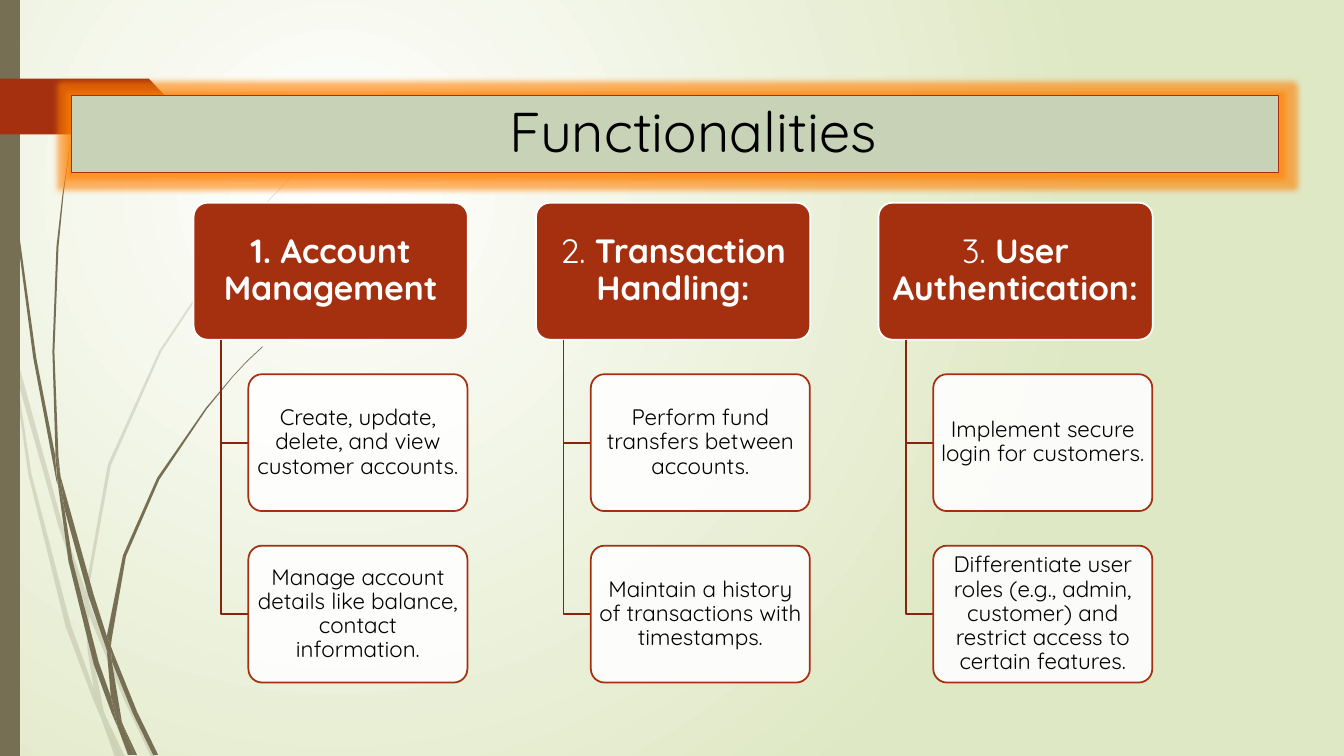
from pptx import Presentation
from pptx.dml.color import RGBColor
from pptx.enum.shapes import MSO_SHAPE
from pptx.enum.text import MSO_ANCHOR, PP_ALIGN
from pptx.oxml import parse_xml
from pptx.oxml.ns import nsdecls, qn
from pptx.util import Cm, Pt

FONT = "Quicksand"
RED, DARK_RED, OLIVE, SAGE = "A53010", "84260D", "766F54", "C7D2B7"
WHITE, BLACK, PALE_GREEN, ORANGE = "FFFFFF", "000000", "DFE8C4", "FF8000"

COLUMN_LEFT, COLUMN_STEP = 4.88, 8.63
ROW_TOP, ROW_STEP = 5.11, 4.32
HEADING_WIDTH, CARD_WIDTH, CARD_HEIGHT = 6.91, 5.52, 3.45
TRUNK_INDENT, CARD_INDENT = 0.69, 1.38
GRASS_UNIT = Cm(2.54) / 100

COLUMNS = [
    ([("1. Account Management", True)],
     ["Create, update, delete, and view customer accounts.",
      "Manage account details like balance, contact information."]),
    ([("2.", False), (" Transaction Handling:", True)],
     ["Perform fund transfers between accounts.",
      "Maintain a history of transactions with timestamps."]),
    ([("3.", False), (" User Authentication:", True)],
     ["Implement secure login for customers.",
      "Differentiate user roles (e.g., admin, customer) and restrict access "
      "to certain features."]),
]

PALE_BLADES = [
    [(11, 350), (9, 322), (0, 282), (0, 299), (10, 344)],
    [(58, 522), (84, 599), (85, 586), (62, 520), (14, 345), (17, 376)],
    [(92, 607), (88, 596), (88, 610), (123, 694), (150, 751), (155, 751),
     (127, 692)],
    [(119, 751), (124, 751), (105, 711)],
    [(93, 683), (70, 619), (31, 469), (17, 376), (11, 350), (28, 470),
     (65, 621), (92, 693), (101, 714), (99, 707)],
    [(84, 599), (87, 646), (93, 683), (96, 692), (105, 711), (103, 706),
     (91, 646), (88, 610), (88, 608)],
    [(88, 584), (110, 462), (160, 349), (229, 245), (268, 198), (290, 175),
     (312, 154), (312, 153), (289, 175), (268, 197), (228, 244), (158, 348),
     (107, 461), (85, 584), (85, 586), (88, 596)],
    [(101, 714), (114, 751), (119, 751)],
    [(88, 608), (88, 610), (88, 596), (85, 586), (84, 599)],
    [(96, 692), (93, 683), (99, 707), (101, 714), (119, 751), (105, 711)],
]
DARK_BLADES = [
    [(7, 110), (17, 233), (33, 355), (56, 477), (57, 481), (55, 457),
     (55, 453), (36, 355), (19, 232), (8, 109), (5, 48), (4, 0), (3, 0),
     (4, 48)],
    [(88, 592), (106, 645), (106, 631), (93, 590), (60, 472), (64, 505)],
    [(113, 649), (110, 641), (111, 656), (132, 708), (152, 749), (157, 749),
     (136, 706)],
    [(110, 691), (98, 657), (72, 556), (64, 505), (57, 477), (68, 557),
     (93, 659), (111, 708), (117, 722), (116, 717)],
    [(60, 472), (58, 453), (54, 349), (58, 245), (63, 193), (70, 141),
     (62, 193), (56, 245), (52, 349), (55, 449)],
    [(133, 749), (136, 749), (122, 719)],
    [(57, 477), (64, 505), (60, 472), (55, 449), (55, 453)],
    [(111, 633), (125, 552), (158, 476), (205, 406), (231, 374), (245, 359),
     (261, 344), (260, 344), (245, 358), (231, 373), (204, 405), (156, 474),
     (122, 551), (106, 631), (110, 641)],
    [(117, 722), (127, 749), (131, 749)],
    [(106, 645), (110, 691), (116, 706), (122, 719), (121, 716), (111, 656),
     (109, 651)],
    [(106, 645), (109, 651), (111, 656), (110, 641), (106, 631)],
    [(116, 706), (110, 691), (116, 717), (117, 722), (130, 749), (133, 749),
     (122, 719)],
]


def color(value):
    """Return the colour for a hex string."""
    return RGBColor.from_string(value)


def paint(shape, fill=None, alpha=100, line=None, line_width=1.25):
    """Set fill, opacity and outline, and remove the shadow."""
    shape.shadow.inherit = False
    if fill:
        shape.fill.solid()
        shape.fill.fore_color.rgb = color(fill)
        if alpha < 100:
            tone = shape.element.spPr.find(qn("a:solidFill"))[0]
            tone.append(parse_xml(
                f'<a:alpha {nsdecls("a")} val="{alpha * 1000}"/>'))
    else:
        shape.fill.background()
    if line:
        shape.line.color.rgb = color(line)
        shape.line.width = Pt(line_width)
    else:
        shape.line.fill.background()


def add_box(slide, kind, left, top, width, height, **look):
    """Add a painted preset shape measured in centimetres."""
    shape = slide.shapes.add_shape(
        kind, Cm(left), Cm(top), Cm(width), Cm(height))
    if kind == MSO_SHAPE.ROUNDED_RECTANGLE:
        shape.adjustments[0] = 0.1
    paint(shape, **look)
    return shape


def add_outline(slide, points, unit=Cm(0.01), close=True, **look):
    """Add a painted freeform through points given in a unit of length."""
    start, *rest = points
    builder = slide.shapes.build_freeform(*start, scale=unit)
    builder.add_line_segments(rest, close=close)
    paint(builder.convert_to_shape(), **look)


def write(shape, runs, size=16, ink=BLACK, side=0.08, edge=0.05, left=None):
    """Write centred (text, bold) runs into a shape."""
    frame = shape.text_frame
    frame.word_wrap = True
    frame.vertical_anchor = MSO_ANCHOR.MIDDLE
    frame.margin_left = Cm(side if left is None else left)
    frame.margin_right = Cm(side)
    frame.margin_top = frame.margin_bottom = Cm(edge)
    paragraph = frame.paragraphs[0]
    paragraph.alignment = PP_ALIGN.CENTER
    paragraph.line_spacing = 0.9
    for text, bold in runs:
        run = paragraph.add_run()
        run.text = text
        run.font.name = FONT
        run.font.size = Pt(size)
        run.font.bold = bold
        run.font.color.rgb = color(ink)


def add_background(slide):
    """Fill the background with a radial gradient."""
    fill = slide.background.fill
    fill.gradient()
    for stop, tone in zip(fill.gradient_stops, (WHITE, PALE_GREEN)):
        stop.color.rgb = color(tone)
    linear = slide.element.find(".//" + qn("a:lin"))
    linear.getparent().replace(linear, parse_xml(
        f'<a:path {nsdecls("a")} path="circle"><a:fillToRect l="50000" '
        't="50000" r="100000" b="100000"/></a:path>'))


def add_column(slide, left, heading, details):
    """Add a heading with its detail cards hanging below."""
    box = add_box(slide, MSO_SHAPE.ROUNDED_RECTANGLE, left, ROW_TOP,
                  HEADING_WIDTH, CARD_HEIGHT, fill=RED, line=WHITE)
    write(box, heading, size=24, ink=WHITE, side=0.13, edge=0.08)
    trunk, card_left = left + TRUNK_INDENT, left + CARD_INDENT
    for row, detail in enumerate(details, start=1):
        top = ROW_TOP + row * ROW_STEP
        middle = top + CARD_HEIGHT / 2
        elbow = [(trunk, ROW_TOP + CARD_HEIGHT), (trunk, middle),
                 (card_left, middle)]
        add_outline(slide, [(Cm(x), Cm(y)) for x, y in elbow], unit=1.0,
                    close=False, line=DARK_RED)
        card = add_box(slide, MSO_SHAPE.ROUNDED_RECTANGLE, card_left, top,
                       CARD_WIDTH, CARD_HEIGHT, fill=WHITE, alpha=90, line=RED)
        write(card, [(detail, False)])


def add_title(slide):
    """Add the title bar with its orange glow."""
    bar = add_box(slide, MSO_SHAPE.RECTANGLE, 1.8, 2.41, 30.43, 1.95,
                  fill=SAGE, line=RED, line_width=0.75)
    write(bar, [("Functionalities", False)], size=40, side=0.25, edge=0.13,
          left=1.14)
    bar.element.spPr.find(qn("a:effectLst")).append(parse_xml(
        f'<a:glow {nsdecls("a")} rad="{Cm(0.28)}"><a:srgbClr val="{ORANGE}">'
        '<a:alpha val="60000"/></a:srgbClr></a:glow>'))


def main():
    """Build the slide and save it."""
    presentation = Presentation()
    presentation.slide_width, presentation.slide_height = Cm(33.87), Cm(19.05)
    slide = presentation.slides.add_slide(presentation.slide_layouts[6])
    add_background(slide)
    for blades, alpha in ((PALE_BLADES, 20), (DARK_BLADES, 100)):
        for blade in blades:
            add_outline(slide, blade, unit=GRASS_UNIT, fill=OLIVE, alpha=alpha)
    add_box(slide, MSO_SHAPE.RECTANGLE, 0, 0, 0.5, 19.05, fill=OLIVE)
    add_outline(slide, [(0, 198), (375, 198), (442, 269), (375, 339),
                        (0, 339)], fill=RED)
    for index, (heading, details) in enumerate(COLUMNS):
        add_column(slide, COLUMN_LEFT + index * COLUMN_STEP, heading, details)
    add_title(slide)
    presentation.save("out.pptx")


if __name__ == "__main__":
    main()
